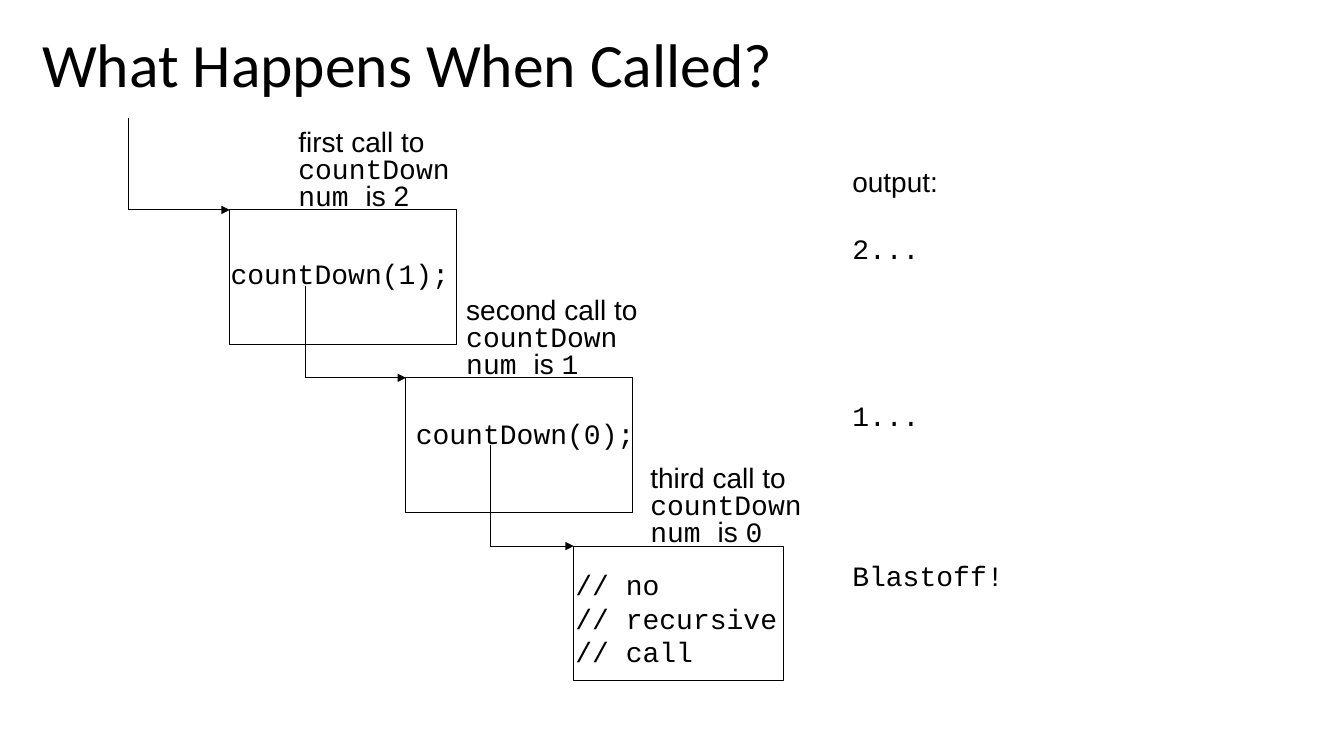
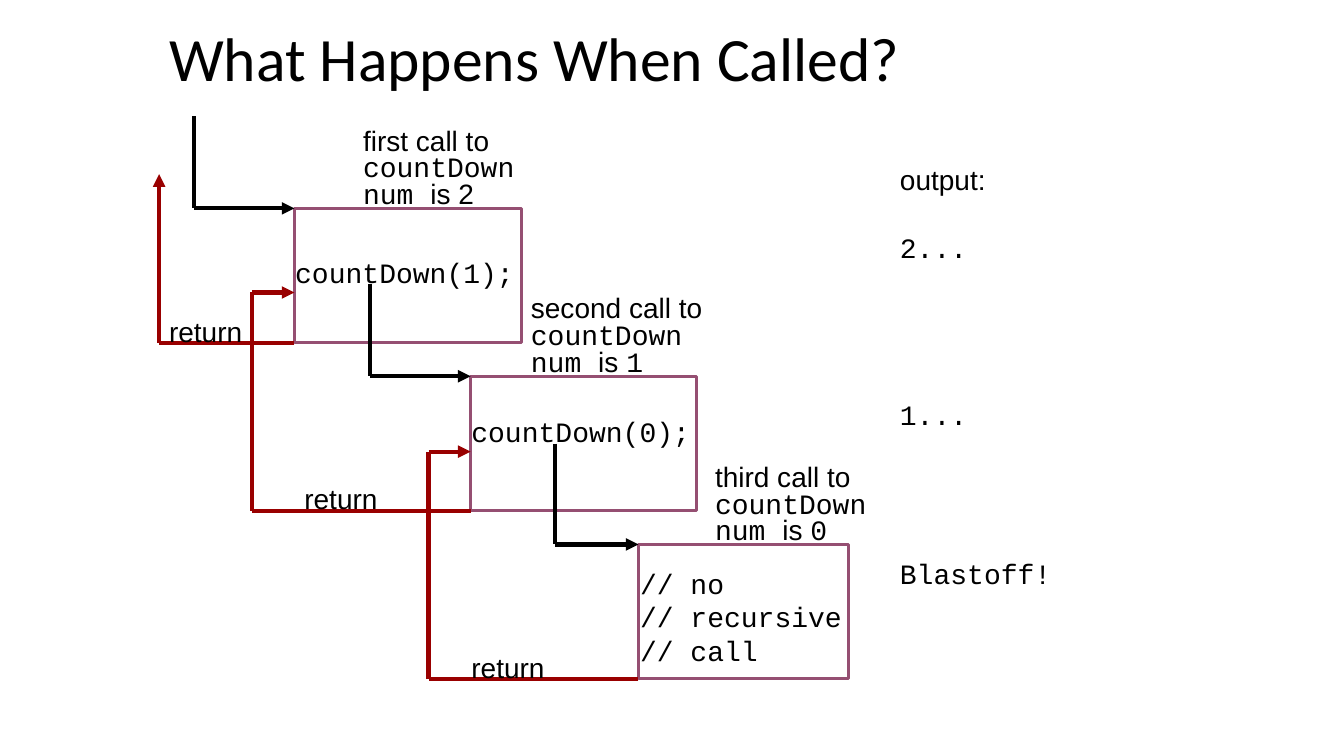
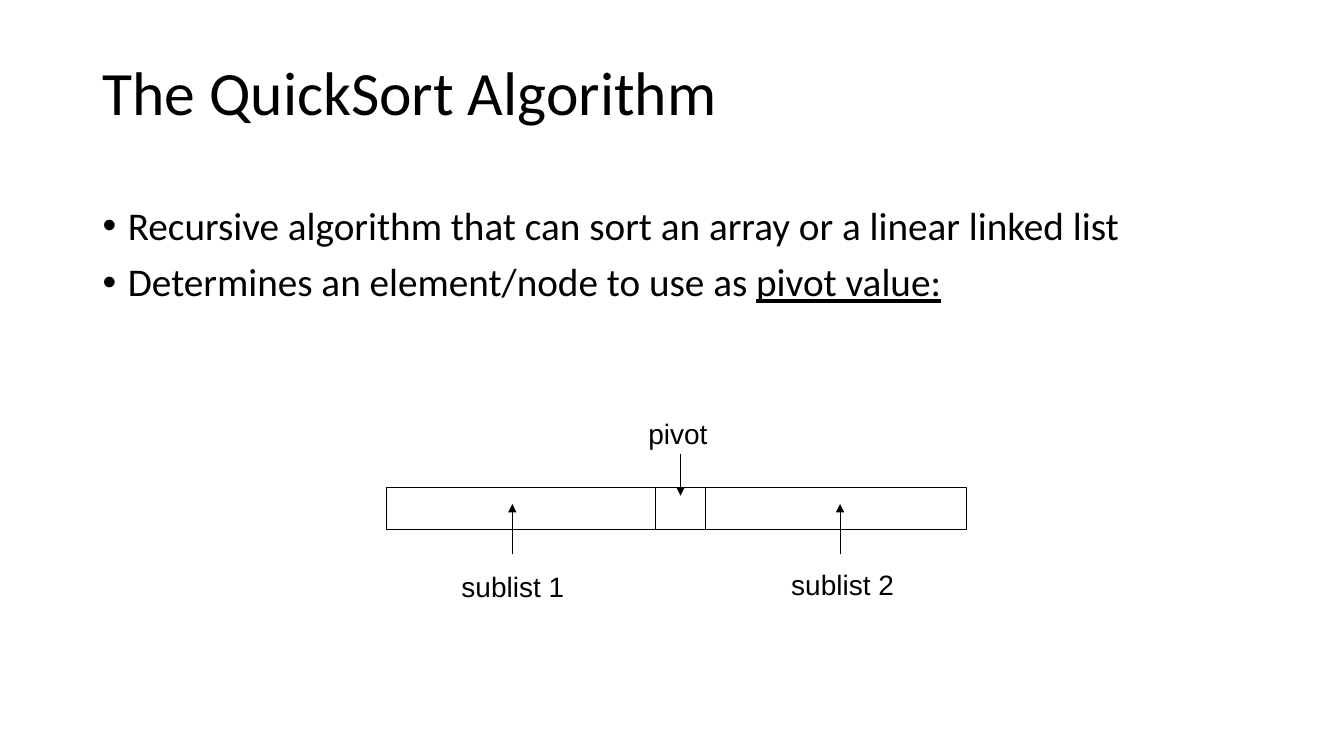
from dataclasses import dataclass

from lxml import etree
from pptx import Presentation
from pptx import util as u
from pptx.dml.color import RGBColor
from pptx.enum import shapes, text
from pptx.oxml.ns import qn

# Shared look; every length in this script is in centimetres
COLORS = {"ink": "000000", "frame": "954F72", "return": "990000"}
BODY, SANS, MONO = "Calibri", "Arial", "Courier New"
LABEL_SIZE = 20
BOX_H = 3.39
LINE_H, CAPTION_H, CODE_H = 1.1, 2.29, 2.79


@dataclass(frozen=True)
class Run:
    text: str
    font: str = SANS
    underline: bool = False


@dataclass(frozen=True)
class Call:
    """One call frame with the arrows into and out of it."""
    x: float
    y: float
    width: float
    ordinal: str
    num: Run
    caption_x: float
    caption_w: float
    code: tuple[str, ...]
    code_dx: float
    code_dy: float
    code_w: float
    start_dx: float       # call arrow start, left of and above the corner
    start_dy: float
    lane_x: float         # vertical part of the return arrow
    return_y: float
    return_label_x: float


@dataclass(frozen=True)
class Trace:
    """How one slide shows the chain of calls."""
    title_x: float
    title_y: float
    dx: float
    dy: float
    output_x: float
    second_code_dx: float
    frame: str
    frame_pt: float
    arrow_pt: float
    returns: bool


CALLS = (
    Call(5.79, 5.29, 5.72, "first", Run("2"), 7.27, 4.4,
         ("countDown(1);",), -0.23, 1.06, 6.1, 2.54, 2.32, 2.38, 4.43, 2.38),
    Call(10.23, 9.52, 5.7, "second", Run("1", MONO), 11.5, 4.95,
         ("countDown(0);",), 0, 0.85, 6.1, 2.54, 2.32, 4.72, 7.41, 5.79),
    Call(14.46, 13.76, 5.29, "third", Run("0", MONO), 16.14, 4.85,
         ("// no", "// recursive", "// call"), -0.21, 0.42, 5.7,
         2.11, 2.54, 9.17, 11.42, 10),
)
TRACES = (
    Trace(0.81, 0.1, 0, 0, 21.23, 0, "ink", 0.75, 0.75, False),
    Trace(4.01, -0.03, 1.63, -0.04, 22.43, -0.23, "frame", 2.25, 3, True),
)


# Drawing helpers
def rgb(name: str) -> RGBColor:
    return RGBColor.from_string(COLORS[name])


def add_runs(p, runs: tuple[Run, ...], size: float) -> None:
    for run in runs:
        r = p.add_run()
        r.text = run.text
        r.font.name, r.font.size = run.font, u.Pt(size)
        r.font.color.rgb = rgb("ink")
        if run.underline:
            r.font.underline = True


def add_paragraphs(tf, lines, size: float, spacing: float = 1, before: float = 0):
    for i, runs in enumerate(lines):
        p = tf.paragraphs[0] if i == 0 else tf.add_paragraph()
        p.line_spacing = spacing
        p.space_before = u.Pt(before)
        add_runs(p, runs, size)


def place(sp, x: float, y: float, w: float, h: float) -> None:
    sp.left, sp.top, sp.width, sp.height = map(u.Cm, (x, y, w, h))


def add_title(s, title: str, x: float, y: float, w: float, h: float) -> None:
    sp = s.shapes.title
    place(sp, x, y, w, h)
    tf = sp.text_frame
    tf.vertical_anchor = text.MSO_ANCHOR.MIDDLE
    add_paragraphs(tf, [(Run(title, BODY),)], 44, 0.9)
    tf.paragraphs[0].alignment = text.PP_ALIGN.LEFT


def add_label(s, x: float, y: float, w: float, h: float, *lines, spacing: float = 1):
    tf = s.shapes.add_textbox(*map(u.Cm, (x, y, w, h))).text_frame
    tf.word_wrap = True
    add_paragraphs(tf, lines, LABEL_SIZE, spacing)
    return tf


def add_frame(s, x: float, y: float, w: float, h: float,
              color: str = "ink", pt: float = 0.75) -> None:
    sp = s.shapes.add_shape(shapes.MSO_SHAPE.RECTANGLE, *map(u.Cm, (x, y, w, h)))
    sp.shadow.inherit = False
    sp.fill.background()
    sp.line.color.rgb, sp.line.width = rgb(color), u.Pt(pt)


def add_route(s, *points, color: str = "ink", pt: float = 0.75) -> None:
    """Join the points by straight lines; the last one has an arrowhead."""
    for start, end in zip(points, points[1:]):
        line = s.shapes.add_connector(
            shapes.MSO_CONNECTOR.STRAIGHT, *map(u.Cm, (*start, *end)))
        line.line.color.rgb, line.line.width = rgb(color), u.Pt(pt)
        if end == points[-1]:
            etree.SubElement(line.line._get_or_add_ln(), qn("a:tailEnd"),
                             type="triangle")
        etree.SubElement(line._element.spPr, qn("a:effectLst"))


# Call traces
def add_trace(prs, trace: Trace) -> None:
    s = prs.slides.add_slide(prs.slide_layouts[5])
    add_title(s, "What Happens When Called?", trace.title_x, trace.title_y, 21.59, 3.18)

    # Frames with their captions and code
    corners = [(c.x + trace.dx, c.y + trace.dy) for c in CALLS]
    for i, (call, (x, y)) in enumerate(zip(CALLS, corners)):
        add_frame(s, x, y, call.width, BOX_H, trace.frame, trace.frame_pt)
        add_label(s, call.caption_x + trace.dx, y - 2.11, call.caption_w, CAPTION_H,
                  (Run(f"{call.ordinal} call to"),),
                  (Run("countDown", MONO),),
                  (Run("num ", MONO), Run("is "), call.num), spacing=0.8)
        code_dx = trace.second_code_dx if i == 1 else call.code_dx
        add_label(s, x + code_dx, y + call.code_dy, call.code_w,
                  CODE_H if len(call.code) > 1 else LINE_H,
                  *((Run(line, MONO),) for line in call.code))

    # Output column
    tf = add_label(s, trace.output_x, 4.02 + trace.dy, 2.8, CODE_H,
                   (Run("output:"),), (Run("2...", MONO),))
    tf.paragraphs[1].space_before = u.Pt(24)
    for y, w, line in ((9.92, 2.3, "1..."), (13.95, 4.4, "Blastoff!")):
        add_label(s, trace.output_x, y + trace.dy, w, LINE_H, (Run(line, MONO),))

    # Call arrows
    for call, (x, y) in zip(CALLS, corners):
        start_x = x - call.start_dx
        add_route(s, (start_x, y - call.start_dy), (start_x, y), (x, y),
                  pt=trace.arrow_pt)

    # Return arrows, each ending at the caller's frame if there is one
    if trace.returns:
        for i, (call, (x, y)) in enumerate(zip(CALLS, corners)):
            lane, bottom = call.lane_x + trace.dx, y + BOX_H
            top = call.return_y + trace.dy
            caller = [(corners[i - 1][0], top)] if i else []
            add_route(s, (x, bottom), (lane, bottom), (lane, top), *caller,
                      color="return", pt=trace.arrow_pt)
            add_label(s, call.return_label_x + trace.dx, bottom - 0.85, 2.45, LINE_H,
                      (Run("return"),))


# QuickSort
def add_quicksort(prs) -> None:
    s = prs.slides.add_slide(prs.slide_layouts[1])
    add_title(s, "The QuickSort Algorithm", 2.33, 0.58, 29.21, 3.68)

    # Bullets
    body = s.placeholders[1]
    place(body, 2.33, 5.08, 29.21, 12.09)
    add_paragraphs(body.text_frame, [
        (Run("Recursive algorithm that can sort an array or a linear linked list", BODY),),
        (Run("Determines an element/node to use as ", BODY),
         Run("pivot value:", BODY, underline=True)),
    ], 28, 0.9, 10)
    indent = u.Cm(0.64)
    for p in body.text_frame.paragraphs:
        pPr = p._p.get_or_add_pPr()
        pPr.set("marL", str(indent))
        pPr.set("indent", str(-indent))
        etree.SubElement(pPr, qn("a:buFont"), typeface=SANS)
        etree.SubElement(pPr, qn("a:buChar"), char="•")

    # Array with its pivot cell
    for x, w in ((9.74, 14.61), (16.51, 1.27)):
        add_frame(s, x, 12.28, w, 1.06)

    # Labels and pointers
    for name, x, y, w, tip_x, tail_y, tip_y in (
            ("pivot", 16.09, 10.37, 2.1, 17.15, 11.43, 12.49),
            ("sublist 1", 11.38, 14.22, 3.2, 12.91, 13.97, 12.7),
            ("sublist 2", 19.69, 14.18, 3.2, 21.17, 13.97, 12.7)):
        add_label(s, x, y, w, LINE_H, (Run(name),))
        add_route(s, (tip_x, tail_y), (tip_x, tip_y))


def main() -> None:
    prs = Presentation()
    prs.slide_width, prs.slide_height = u.Cm(33.87), u.Cm(19.05)
    for trace in TRACES:
        add_trace(prs, trace)
    add_quicksort(prs)
    prs.save("out.pptx")


if __name__ == "__main__":
    main()
